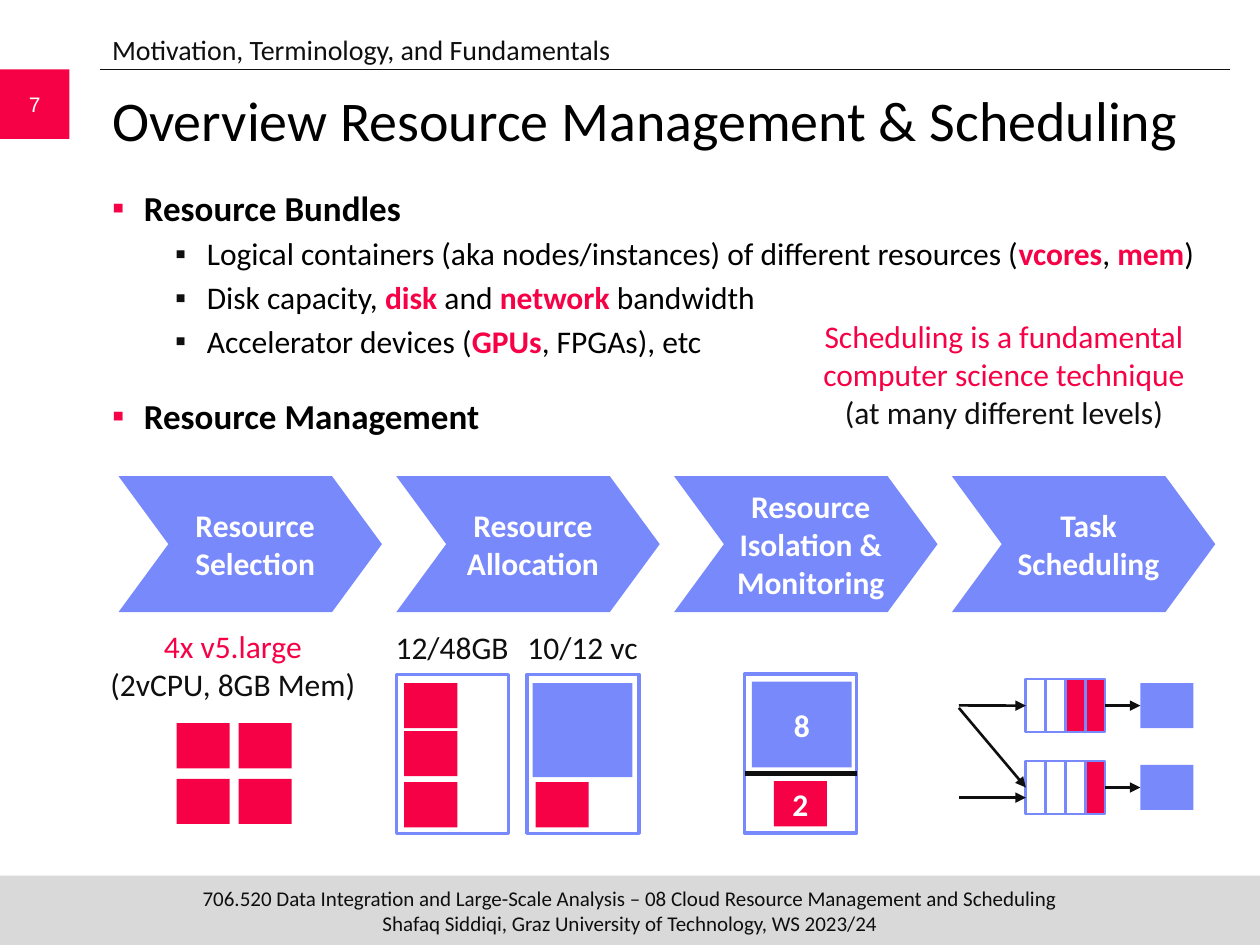
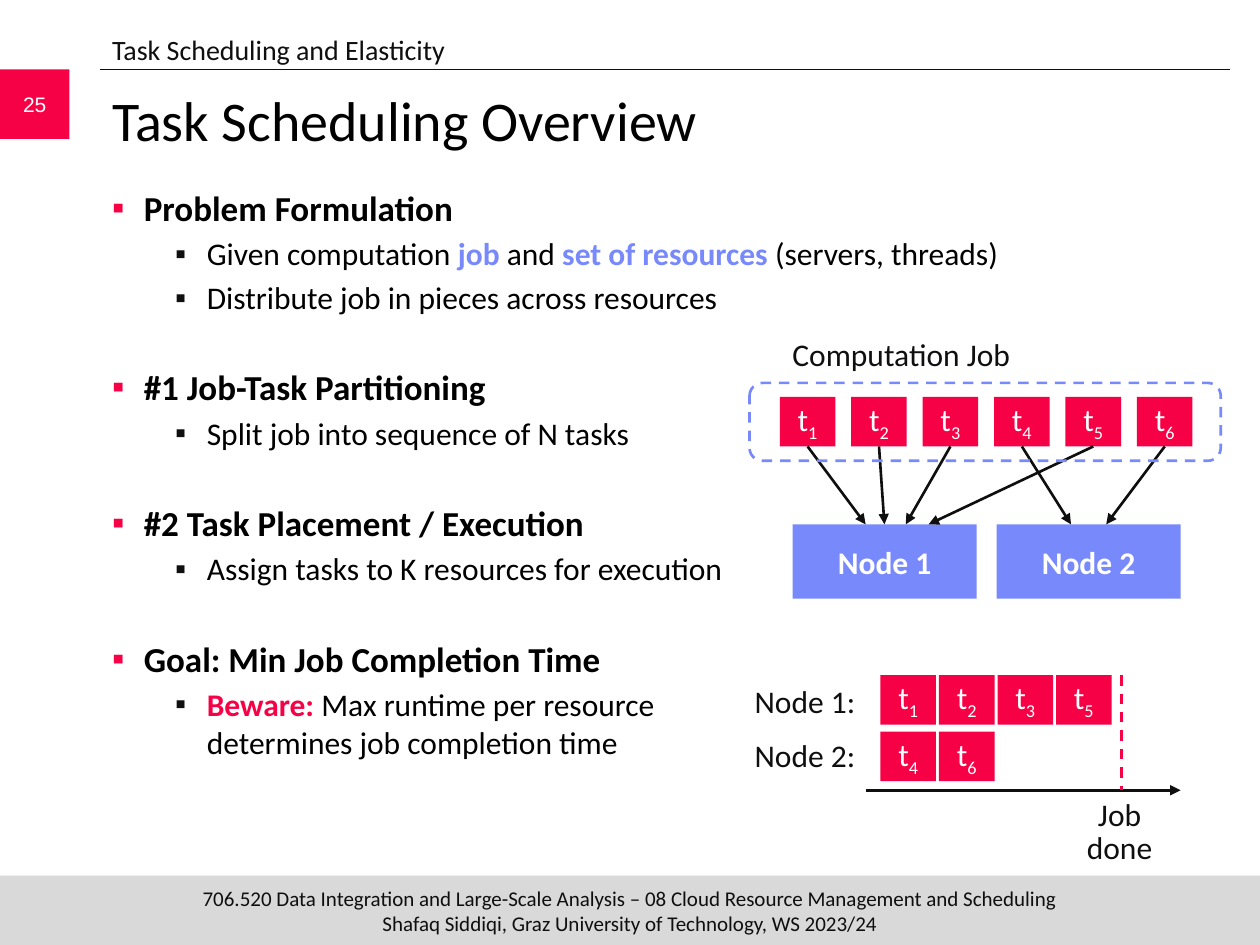
from lxml.etree import SubElement
from pptx import Presentation
from pptx.dml.color import RGBColor
from pptx.enum.dml import MSO_LINE
from pptx.enum.shapes import MSO_CONNECTOR, MSO_SHAPE
from pptx.enum.text import MSO_ANCHOR, MSO_AUTO_SIZE, PP_ALIGN
from pptx.oxml.ns import qn
from pptx.util import Cm, Pt

RED = RGBColor(0xF7, 0x01, 0x46)
BLUE = RGBColor(0x78, 0x89, 0xFB)
GRAY = RGBColor(0xD9, 0xD9, 0xD9)
INK = RGBColor(0x0F, 0x0F, 0x0F)
BLACK = RGBColor(0, 0, 0)
WHITE = RGBColor(0xFF, 0xFF, 0xFF)

PLAIN = {"name": "Calibri", "size": Pt(18), "bold": False, "color": INK}
HEAD = {**PLAIN, "size": Pt(20), "bold": True, "color": BLACK}
ITEM = {**PLAIN, "color": BLACK}
TITLE = {**ITEM, "size": Pt(32)}
TOPIC = {**PLAIN, "size": Pt(16)}
FOOT = {**PLAIN, "size": Pt(12)}
PAGE = {**FOOT, "name": "Arial", "color": WHITE}
LIGHT = {**PLAIN, "color": WHITE}
STRONG = {**LIGHT, "bold": True}
HOT = {"bold": True, "color": RED}
COOL = {"bold": True, "color": BLUE}
WARM = {"color": RED}
LOW = {"base": "-25000"}

WIDE, HIGH = 25.4, 19.05
LEFT = 2.01
UNIT = (1.07, 0.91)
BIN = (2.26, 3.2)
TASK = (1.12, 1)
FOOTER = ("706.520 Data Integration and Large-Scale Analysis – 08 Cloud Resource "
          "Management and Scheduling\nShafaq Siddiqi, Graz University of Technology, WS 2023/24")


def style(run, form):
    for key, value in form.items():
        if key == "color":
            run.font.color.rgb = value
        elif key == "base":
            run._r.get_or_add_rPr().set("baseline", value)
        else:
            setattr(run.font, key, value)


def write(para, parts, form):
    for part in [parts] if isinstance(parts, str) else parts:
        text, extra = (part, {}) if isinstance(part, str) else part
        for row, line in enumerate(text.split("\n")):
            if row:
                para.add_line_break()
            if line:
                run = para.add_run()
                run.text = line
                style(run, {**form, **extra})


def frame(shape, pad=0, anchor=MSO_ANCHOR.MIDDLE):
    form = {"word_wrap": True, "auto_size": MSO_AUTO_SIZE.NONE, "vertical_anchor": anchor,
            "margin_left": Cm(pad), "margin_right": Cm(pad),
            "margin_top": Cm(0.13), "margin_bottom": Cm(0.13)}
    for key, value in form.items():
        setattr(shape.text_frame, key, value)
    return shape.text_frame


def block(slide, x, y, w, h, fill=None, line=None, width=2, parts="", form=STRONG,
          kind=MSO_SHAPE.RECTANGLE):
    shape = slide.shapes.add_shape(kind, Cm(x), Cm(y), Cm(w), Cm(h))
    shape.shadow.inherit = False
    if fill is None:
        shape.fill.background()
    else:
        shape.fill.solid()
        shape.fill.fore_color.rgb = fill
    if line is None:
        shape.line.fill.background()
    else:
        shape.line.color.rgb = line
        shape.line.width = Pt(width)
    if parts:
        para = frame(shape).paragraphs[0]
        para.alignment = PP_ALIGN.CENTER
        write(para, parts, form)
    return shape


def label(slide, x, y, w, h, parts, form=PLAIN, pad=0, align=PP_ALIGN.CENTER):
    shape = slide.shapes.add_textbox(Cm(x), Cm(y), Cm(w), Cm(h))
    para = frame(shape, pad, MSO_ANCHOR.TOP).paragraphs[0]
    para.alignment = align
    write(para, parts, form)
    return para


def link(slide, start, end, color=INK, width=1.5, head=False, dash=False,
         source=None, target=None):
    wire = slide.shapes.add_connector(MSO_CONNECTOR.STRAIGHT, *map(Cm, start + end))
    wire.line.color.rgb = color
    wire.line.width = Pt(width)
    if dash:
        wire.line.dash_style = MSO_LINE.DASH
    props = wire._element.spPr
    if head:
        SubElement(props.find(qn("a:ln")), qn("a:tailEnd"), type="triangle")
    SubElement(props, qn("a:effectLst"))
    if source:
        wire.begin_connect(*source)
    if target:
        wire.end_connect(*target)


def bullet(para, level, color):
    props = para._p.get_or_add_pPr()
    props.set("marL", str(Cm((0.64, 1.91)[level])))
    props.set("indent", str(-Cm(0.64)))
    tint = SubElement(props, qn("a:buClr"))
    SubElement(tint, qn("a:srgbClr"), val=str(color))
    SubElement(props, qn("a:buFont"), typeface="Arial")
    SubElement(props, qn("a:buChar"), char="▪")


def outline(slide, items, gap):
    box = slide.shapes.add_textbox(Cm(LEFT), Cm(3.63), Cm(22.76), Cm(13.72))
    text = frame(box, 0.25, MSO_ANCHOR.TOP)
    for row, (level, parts) in enumerate(items):
        para = text.add_paragraph() if row else text.paragraphs[0]
        bullet(para, level, (RED, INK)[level])
        para.level = level
        if row:
            para.space_before = Pt((gap, 3.4)[level])
        write(para, parts, (HEAD, ITEM)[level])


def base(deck, page, topic, title):
    slide = deck.slides.add_slide(deck.slide_layouts[5])
    block(slide, 0, 17.65, WIDE, 1.4, GRAY, parts=FOOTER, form=FOOT)
    link(slide, (LEFT, 1.4), (24.79, 1.4), width=0.5)
    block(slide, 0, 1.4, 1.4, 1.4, RED, parts=page, form=PAGE)
    label(slide, LEFT, 0.53, 22.86, 0.91, topic, TOPIC, 0.25, PP_ALIGN.LEFT)
    head = slide.shapes.title
    place = {"left": LEFT, "top": 1.6, "width": 22.76, "height": 2.11}
    for key, value in place.items():
        setattr(head, key, Cm(value))
    para = frame(head, 0.25, MSO_ANCHOR.TOP).paragraphs[0]
    para.alignment = PP_ALIGN.LEFT
    write(para, title, TITLE)
    return slide


def chain(slide, x, y, steps):
    for col, step in enumerate(steps):
        shape = block(slide, x + col * 5.6, y, 5.31, 2.74, BLUE, parts=step,
                      kind=MSO_SHAPE.CHEVRON)
        shape.adjustments[0] = 0.367
        shape.text_frame.margin_left = Cm(0.2)


def select(slide, x, y):
    label(slide, x, y, 5.33, 1.8, [("4x v5.large\n", WARM), "(2vCPU, 8GB Mem)"])
    for col in range(2):
        for row in range(2):
            block(slide, x + 1.53 + col * 1.25, y + 2.06 + row * 1.12, *UNIT, RED)


def assign(slide, x, y):
    for col, text in enumerate(["12/48GB", "10/12 vc"]):
        left = x + col * 2.63
        label(slide, left, y, 2.59, 1.02, text)
        block(slide, left + 0.17, y + 1.07, *BIN, line=BLUE)
    for top in (1.24, 2.21, 3.24):
        block(slide, x + 0.33, y + top, *UNIT, RED)
    block(slide, x + 2.92, y + 1.24, 2.01, 1.9, BLUE)
    block(slide, x + 2.98, y + 3.24, *UNIT, RED)


def split(slide, x, y):
    block(slide, x, y, *BIN, line=BLUE)
    block(slide, x + 0.15, y + 0.15, 2.01, 1.73, BLUE, parts="8")
    block(slide, x + 0.59, y + 2.16, *UNIT, RED, parts="2")
    link(slide, (x, y + 2.01), (x + BIN[0], y + 2.01), width=2.75)


def queue(slide, x, y):
    first = []
    for row, used in enumerate((2, 1)):
        top = y + row * 1.65
        cells = [block(slide, x + 1.35 + col * 0.4, top, 0.4, 1.07,
                       RED if col >= 4 - used else None, BLUE, 1.5) for col in range(4)]
        node = block(slide, x + 3.66, top + 0.08, *UNIT, BLUE)
        mid = top + 0.53
        link(slide, (x + 2.95, mid), (x + 3.66, mid), head=True,
             source=(cells[-1], 3), target=(node, 1))
        first.append(cells[0])
    for cell, drop in zip(first, (0.53, 0.58)):
        link(slide, (x, y + drop), (x + 1.35, y + drop), head=True, target=(cell, 1))
    link(slide, (x, y + 2.39), (x + 1.35, y + 2.39), head=True)


def task(slide, x, y, number):
    return block(slide, x, y, *TASK, RED, parts=["t", (str(number), LOW)], form=LIGHT)


def job(slide, x, y):
    label(slide, x + 0.61, y, 4.9, 1.02, "Computation Job")
    for col in range(2):
        block(slide, x + 0.87 + col * 4.11, y + 3.94, 3.71, 1.5, BLUE, parts=f"Node {col + 1}")
    for col, end in enumerate((2.34, 2.72, 3.15, 6.48, 3.61, 7.19)):
        left = x + 0.61 + col * 1.44
        piece = task(slide, left, y + 1.37, col + 1)
        link(slide, (left + 0.56, y + 2.37), (x + end, y + 3.94), head=True,
             source=(piece, 2))
    ring = block(slide, x, y + 1.09, 9.5, 1.57, line=BLUE, width=1.5,
                 kind=MSO_SHAPE.ROUNDED_RECTANGLE)
    ring.line.dash_style = MSO_LINE.DASH


def plan(slide, x, y):
    for row, numbers in enumerate([(1, 2, 3, 5), (4, 6)]):
        label(slide, x, y + row * 1.1, 2.24, 1.02, f"Node {row + 1}:")
        for col, number in enumerate(numbers):
            task(slide, x + 2.64 + col * 1.18, y + row * 1.14, number)
    link(slide, (x + 2.34, y + 2.32), (x + 8.69, y + 2.32), head=True)
    link(slide, (x + 7.5, y), (x + 7.5, y + 2.32), RED, dash=True)
    para = label(slide, x + 6.38, y + 2.37, 2.16, 1.6, "Job done")
    para.line_spacing = Pt(19)


def manage(deck):
    slide = base(deck, "7", "Motivation, Terminology, and Fundamentals",
                 "Overview Resource Management & Scheduling")
    outline(slide, [
        (0, "Resource Bundles"),
        (1, ["Logical containers (aka nodes/instances) of different resources (",
             ("vcores", HOT), ", ", ("mem", HOT), ")"]),
        (1, ["Disk capacity, ", ("disk", HOT), " and ", ("network", HOT), " bandwidth"]),
        (1, ["Accelerator devices (", ("GPUs", HOT), ", FPGAs), etc"]),
        (0, "Resource Management"),
    ], 20)
    chain(slide, 2.39, 9.6, ["Resource Selection", "Resource Allocation",
                             "Resource Isolation & Monitoring", "Task Scheduling"])
    select(slide, 2.03, 12.52)
    assign(slide, 7.82, 12.53)
    split(slide, 15.01, 13.59)
    queue(slide, 19.33, 13.69)
    label(slide, 16, 6.27, 8.48, 2.57,
          [("Scheduling is a fundamental computer science technique\n", WARM),
           "(at many different levels)"])


def schedule(deck):
    slide = base(deck, "25", "Task Scheduling and Elasticity", "Task Scheduling Overview")
    outline(slide, [
        (0, "Problem Formulation"),
        (1, ["Given computation ", ("job", COOL), " and ", ("set of resources", COOL),
             " (servers, threads)"]),
        (1, "Distribute job in pieces across resources"),
        (0, "#1 Job-Task Partitioning"),
        (1, "Split job into sequence of N tasks"),
        (0, "#2 Task Placement / Execution"),
        (1, "Assign tasks to K resources for execution"),
        (0, "Goal: Min Job Completion Time"),
        (1, [("Beware:", HOT), " Max runtime per resource\ndetermines job completion time"]),
    ], 28.5)
    job(slide, 15.11, 6.63)
    plan(slide, 15.11, 13.61)


def main():
    deck = Presentation()
    deck.slide_width, deck.slide_height = Cm(WIDE), Cm(HIGH)
    manage(deck)
    schedule(deck)
    deck.save("out.pptx")


if __name__ == "__main__":
    main()
